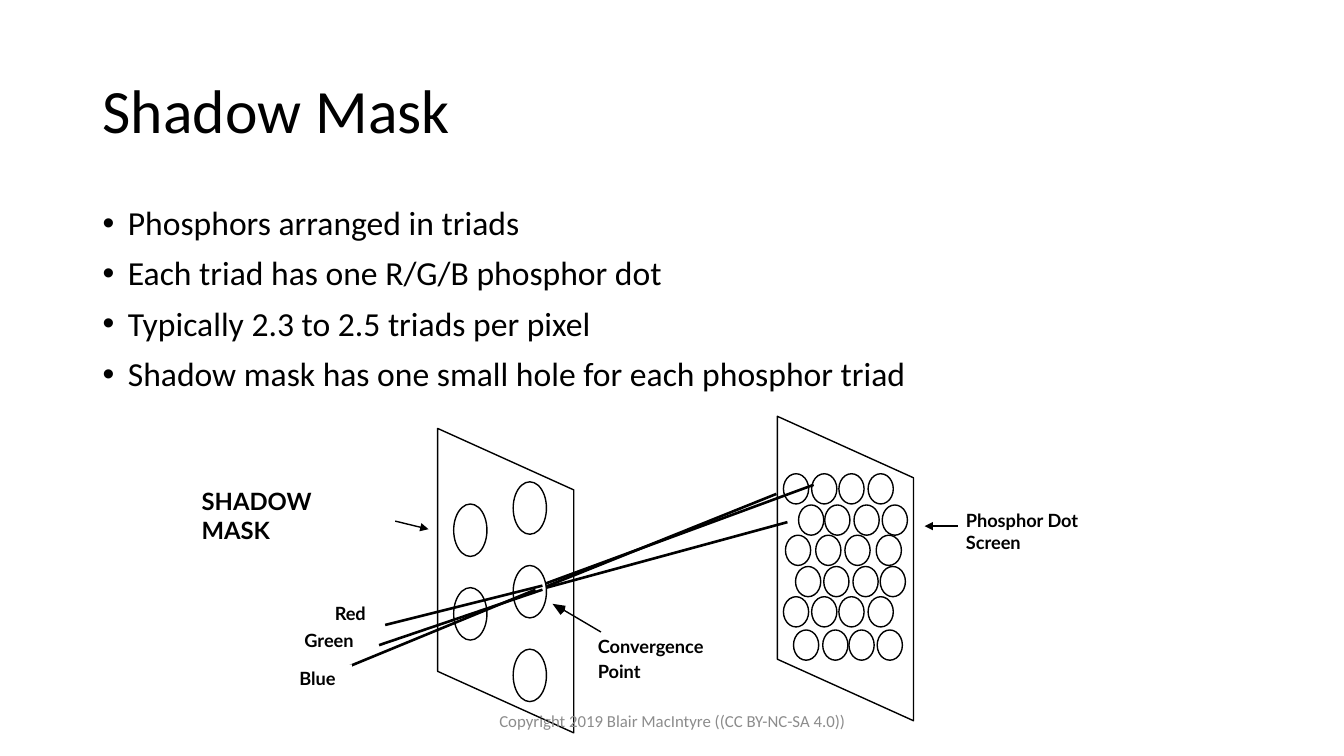
from dataclasses import dataclass
from lxml.etree import SubElement
from pptx import Presentation
from pptx.dml.color import RGBColor
from pptx.enum.shapes import MSO_CONNECTOR, MSO_SHAPE
from pptx.enum.text import MSO_ANCHOR, PP_ALIGN
from pptx.oxml.ns import qn
from pptx.util import Inches, Pt

HUES = {"ink": "000000", "paper": "FFFFFF", "gray": "8C8C8C"}
Point = tuple[float, float]


@dataclass(frozen=True)
class Label:
    """Text with its box, font and layout."""
    text: str
    box: tuple[float, float, float, float]
    size: float = 13
    font: str = "Lato"
    bold: bool = True
    hue: str = "ink"
    inset: Point = (0, 0)
    align: PP_ALIGN = PP_ALIGN.LEFT
    anchor: MSO_ANCHOR = MSO_ANCHOR.TOP
    lead: float = 1.0
    gap: float = 0
    bullet: bool = False
    plate: bool = False


@dataclass(frozen=True)
class Line:
    """Straight line, with or without an arrowhead."""
    start: Point
    end: Point
    width: float = 1.88
    arrow: bool = False


@dataclass(frozen=True)
class Oval:
    """Ellipse given by its top left corner and size."""
    x: float
    y: float
    w: float
    h: float
    solid: bool = False


def color(name: str) -> RGBColor:
    """Return a named colour."""
    return RGBColor.from_string(HUES[name])


def style(shape, fill: str | None, line: bool) -> None:
    """Set fill and outline of a shape."""
    shape.shadow.inherit = False
    if fill:
        shape.fill.solid()
        shape.fill.fore_color.rgb = color(fill)
    else:
        shape.fill.background()
    if line:
        shape.line.color.rgb = color("ink")
        shape.line.width = Pt(1)
    else:
        shape.line.fill.background()


def draw_label(slide, item: Label) -> None:
    """Draw a label, on a white plate if asked."""
    box = [Inches(v) for v in item.box]
    if item.plate:
        shape = slide.shapes.add_shape(MSO_SHAPE.RECTANGLE, *box)
        style(shape, "paper", False)
    else:
        shape = slide.shapes.add_textbox(*box)
    frame = shape.text_frame
    frame.word_wrap = True
    frame.vertical_anchor = item.anchor
    frame.margin_left = frame.margin_right = Inches(item.inset[0])
    frame.margin_top = frame.margin_bottom = Inches(item.inset[1])
    frame.text = item.text
    for index, para in enumerate(frame.paragraphs):
        if item.bullet:
            props = para._p.get_or_add_pPr()
            props.set("marL", str(Inches(0.25)))
            props.set("indent", str(-Inches(0.25)))
            SubElement(props, qn("a:buFont"), typeface="Arial")
            SubElement(props, qn("a:buChar"), char="•")
        para.alignment = item.align
        para.line_spacing = item.lead
        if index and item.gap:
            para.space_before = Pt(item.gap)
        para.font.name = item.font
        para.font.size = Pt(item.size)
        para.font.bold = item.bold
        para.font.color.rgb = color(item.hue)


def draw_line(slide, item: Line) -> None:
    """Draw a beam or a pointer."""
    ends = [Inches(v) for v in item.start + item.end]
    wire = slide.shapes.add_connector(MSO_CONNECTOR.STRAIGHT, *ends)
    wire.line.color.rgb = color("ink")
    wire.line.width = Pt(item.width)
    if item.arrow:
        SubElement(wire.line._get_or_add_ln(), qn("a:tailEnd"), type="triangle")
    SubElement(wire._element.spPr, qn("a:effectLst"))


def draw_oval(slide, item: Oval) -> None:
    """Draw a phosphor dot or a mask hole."""
    box = [Inches(v) for v in (item.x, item.y, item.w, item.h)]
    shape = slide.shapes.add_shape(MSO_SHAPE.OVAL, *box)
    style(shape, "paper" if item.solid else None, True)


def draw_shape(slide, points: list[Point], fill: str | None, line: bool) -> None:
    """Draw a closed polygon."""
    spots = [(Inches(x), Inches(y)) for x, y in points]
    pen = slide.shapes.build_freeform(*spots[0], scale=1.0)
    pen.add_line_segments(spots[1:], close=True)
    style(pen.convert_to_shape(), fill, line)


def draw_panel(slide, x: float, y: float) -> None:
    """Draw a slanted panel from its top left corner."""
    wide, tall, drop = 1.35, 2.41, 0.61
    points = [(x + wide, y + drop), (x, y), (x, y + tall), (x + wide, y + drop + tall)]
    draw_shape(slide, points, None, True)


def plate(text: str, x: float, y: float, w: float) -> Label:
    """Make a label on a white plate."""
    return Label(text, (x, y, w, 0.25), inset=(0.05, 0.03), plate=True)


TITLE = Label("Shadow Mask", (0.92, 0.4, 11.5, 1.45), 44, "Calibri", False,
              inset=(0.1, 0.05), anchor=MSO_ANCHOR.MIDDLE, lead=0.9)
BODY = Label("Phosphors arranged in triads\n"
             "Each triad has one R/G/B phosphor dot\n"
             "Typically 2.3 to 2.5 triads per pixel\n"
             "Shadow mask has one small hole for each phosphor triad",
             (0.92, 2, 11.5, 4.76), 24, "Calibri", False,
             inset=(0.1, 0.05), lead=0.9, gap=10, bullet=True)
FOOT = Label("Copyright 2019 Blair MacIntyre ((CC BY-NC-SA 4.0))",
             (4.42, 6.95, 4.5, 0.4), 12, "Calibri", False, "gray",
             (0.1, 0.05), PP_ALIGN.CENTER, MSO_ANCHOR.MIDDLE)
MASK = Label("SHADOW MASK", (2, 4.83, 1.7, 0.6), 17)
SCREEN = Label("Phosphor Dot\nScreen", (9.58, 5.05, 1.2, 0.45))
PLATES = [plate("Red", 3.27, 5.95, 0.51), plate("Green", 2.97, 6.21, 0.74),
          plate("Blue", 2.92, 6.59, 0.57), plate("Convergence", 5.88, 6.27, 1.51),
          plate("Point", 5.88, 6.52, 0.67)]
ROWS = [(4.7, (7.77, 8.05, 8.32, 8.61)), (5.01, (7.92, 8.18, 8.47, 8.75)),
        (5.31, (7.79, 8.09, 8.38, 8.69)), (5.62, (7.89, 8.17, 8.46, 8.73)),
        (5.92, (7.77, 8.05, 8.32, 8.61)), (6.25, (7.87, 8.16, 8.42, 8.7))]
DOTS = [Oval(x, y, 0.25, 0.3) for y, row in ROWS for x in row]
HOLES = [Oval(x, top + 0.83 * step, 0.33, 0.52, True)
         for x, top, count in ((5.09, 4.78, 3), (4.5, 5, 2)) for step in range(count)]
FAR = [Line((5.24, 5.89), (7.7, 4.9)), Line((5.31, 5.86), (7.81, 5.18)),
       Line((5.3, 5.83), (8.07, 4.81))]
NEAR = [Line((5.38, 5.85), (3.76, 6.4)), Line((5.38, 5.81), (3.82, 6.2)),
        Line((5.31, 5.85), (3.15, 6.74))]
HEAD = [(5.61, 6.01), (5.6, 6.06), (5.56, 6.1), (5.48, 5.99)]
HINTS = [Line((5.57, 6.04), (5.96, 6.27), 1), Line((3.92, 5.17), (4.25, 5.25), 1, True),
         Line((9.5, 5.22), (9.17, 5.22), 1, True)]


def main() -> None:
    """Build the slide and save it."""
    deck = Presentation()
    deck.slide_width, deck.slide_height = Inches(13.33), Inches(7.5)
    slide = deck.slides.add_slide(deck.slide_layouts[6])
    draw_label(slide, BODY)
    draw_panel(slide, 7.71, 4.13)
    for dot in DOTS:
        draw_oval(slide, dot)
    draw_label(slide, MASK)
    for beam in FAR:
        draw_line(slide, beam)
    draw_panel(slide, 4.34, 4.25)
    for hole in HOLES:
        draw_oval(slide, hole)
    for beam in NEAR:
        draw_line(slide, beam)
    for item in PLATES:
        draw_label(slide, item)
    draw_shape(slide, HEAD, "ink", False)
    for hint in HINTS:
        draw_line(slide, hint)
    for item in (SCREEN, TITLE, FOOT):
        draw_label(slide, item)
    deck.save("out.pptx")


if __name__ == "__main__":
    main()
